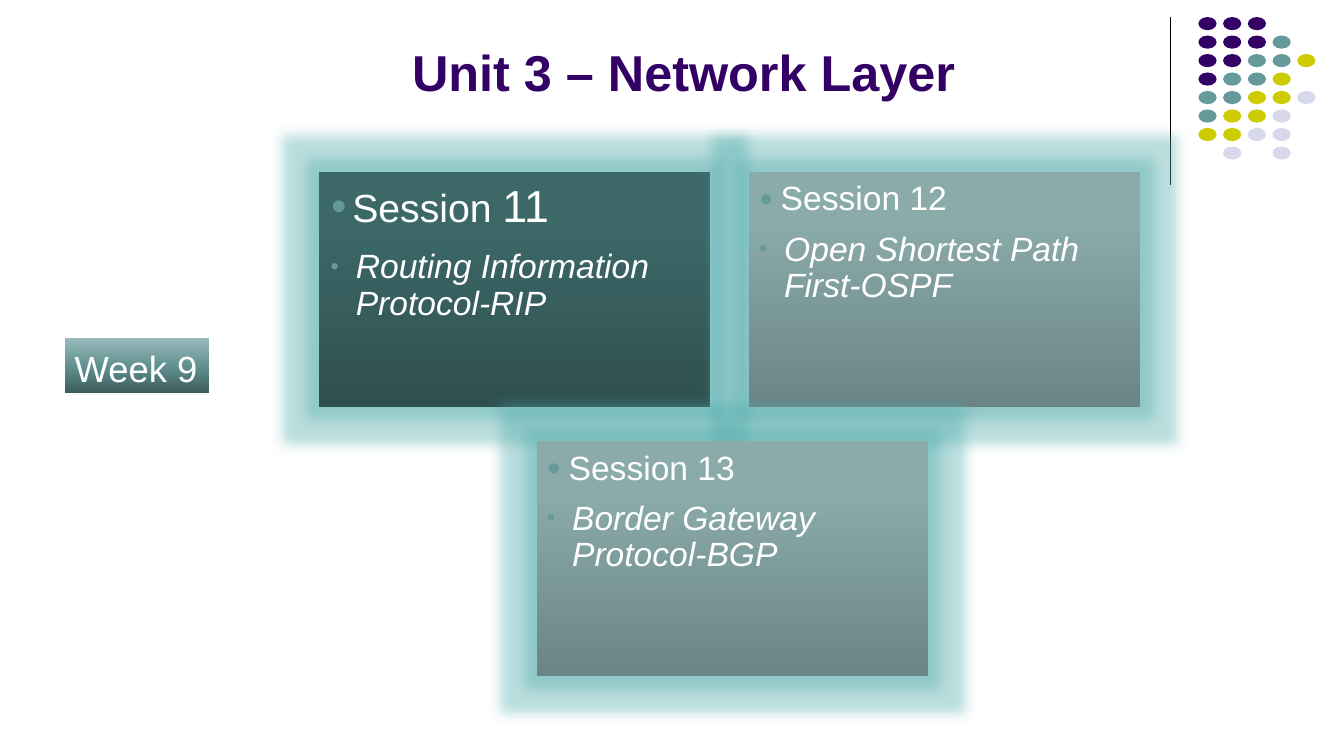
from copy import deepcopy
from dataclasses import dataclass

from lxml import etree
from pptx import Presentation
from pptx.dml.color import RGBColor
from pptx.enum.shapes import MSO_CONNECTOR, MSO_SHAPE
from pptx.enum.text import MSO_ANCHOR, PP_ALIGN
from pptx.oxml.ns import qn
from pptx.util import Pt

RECTANGLE = MSO_SHAPE.RECTANGLE
OVAL = MSO_SHAPE.OVAL
STRAIGHT = MSO_CONNECTOR.STRAIGHT
TOP = MSO_ANCHOR.TOP
BOTTOM = MSO_ANCHOR.BOTTOM
LEFT = PP_ALIGN.LEFT

FONT = "Arial"
COLORS = {
    "purple": "330066",
    "teal": "669999",
    "lime": "CCCC00",
    "lavender": "D8D8EC",
    "white": "FFFFFF",
    "black": "000000",
    "glow": "53ACAC",
}
DARK_GRADIENT = ((0, "2F5050"), (0.8, "3D6868"), (1, "3C6969"))
PALE_GRADIENT = ((0, "6B8484"), (0.8, "8BABAB"), (1, "8BADAD"))
WEEK_GRADIENT = ((0, "3E5C5C"), (0.48, "5F8F8F"), (1, "9ABCBC"))

DOT_COLORS = {"P": "purple", "T": "teal", "Y": "lime", "L": "lavender"}
DOT_ROWS = ("PPP", "PPPT", "PPTTY", "PTTY", "TTYYL", "TYYL", "YYLL", " L L")
DOT_LEFT, DOT_TOP = 856, 12.2
DOT_STEP_X, DOT_STEP_Y = 17.65, 13.2
DOT_WIDTH, DOT_HEIGHT = 13, 9.4

SESSION_WIDTH, SESSION_HEIGHT = 279.6, 168


@dataclass(frozen=True)
class Session:
    left: float
    top: float
    number: str
    topic: str
    gradient: tuple
    inset: float = 7.2
    label_size: float = 24
    number_size: float = 24
    gap: float = 10


SESSIONS = (
    Session(227.8, 122.6, "11", "Routing Information Protocol-RIP", DARK_GRADIENT,
            inset=8.4, label_size=28, number_size=32, gap=12.8),
    Session(535.1, 122.6, "12", "Open Shortest Path First-OSPF", PALE_GRADIENT),
    Session(383.6, 315.2, "13", "Border Gateway Protocol-BGP", PALE_GRADIENT),
)


def color(name: str) -> RGBColor:
    return RGBColor.from_string(COLORS[name])


def add_shape(page, kind, left: float, top: float, width: float, height: float):
    shape = page.shapes.add_shape(kind, Pt(left), Pt(top), Pt(width), Pt(height))
    shape.shadow.inherit = False
    shape.line.fill.background()
    return shape


def fill_gradient(shape, stops: tuple) -> None:
    shape.fill.gradient()
    shape.fill.gradient_angle = 90
    stop_list = shape._element.spPr.find(".//" + qn("a:gsLst"))
    stop_list.append(deepcopy(stop_list[-1]))
    for stop, (position, shade) in zip(shape.fill.gradient_stops, stops):
        stop.position = position
        stop.color.rgb = RGBColor.from_string(shade)


def add_glow(shape, radius: float) -> None:
    effects = shape._element.spPr.find(qn("a:effectLst"))
    glow = etree.SubElement(effects, qn("a:glow"), rad=str(Pt(radius)))
    tint = etree.SubElement(glow, qn("a:srgbClr"), val=COLORS["glow"])
    etree.SubElement(tint, qn("a:alpha"), val="40000")


def prepare_frame(shape, inset_x: float, inset_y: float, anchor=TOP, wrap: bool = True):
    frame = shape.text_frame
    frame.word_wrap = wrap
    frame.vertical_anchor = anchor
    frame.margin_left = frame.margin_right = Pt(inset_x)
    frame.margin_top = frame.margin_bottom = Pt(inset_y)
    frame.paragraphs[0].alignment = LEFT
    return frame


def add_span(para, text: str, *, size: float, shade: str = "white",
             bold: bool = False, italic: bool = False) -> None:
    span = para.add_run()
    span.text = text
    span.font.name = FONT
    span.font.size = Pt(size)
    span.font.bold = bold
    span.font.italic = italic
    span.font.color.rgb = color(shade)


def format_bullet(para, symbol: str, indent: float, gap: float) -> None:
    para.alignment = LEFT
    para.line_spacing = 0.9
    para.space_after = Pt(gap)
    properties = para._p.get_or_add_pPr()
    properties.set("marL", str(Pt(indent)))
    properties.set("indent", str(-Pt(indent)))
    bullet_color = etree.SubElement(properties, qn("a:buClr"))
    etree.SubElement(bullet_color, qn("a:srgbClr"), val=COLORS["teal"])
    etree.SubElement(properties, qn("a:buSzPct"), val="70000")
    etree.SubElement(properties, qn("a:buFont"), typeface=FONT)
    etree.SubElement(properties, qn("a:buChar"), char=symbol)


def draw_divider(page) -> None:
    divider = page.shapes.add_connector(STRAIGHT, Pt(836), Pt(12), Pt(836), Pt(132))
    divider.line.color.rgb = color("black")
    divider.line.width = Pt(0.75)
    etree.SubElement(divider._element.spPr, qn("a:effectLst"))


def draw_dots(page) -> None:
    for row, pattern in enumerate(DOT_ROWS):
        for column, key in enumerate(pattern):
            if key in DOT_COLORS:
                dot = add_shape(page, OVAL, DOT_LEFT + column * DOT_STEP_X,
                                DOT_TOP + row * DOT_STEP_Y, DOT_WIDTH, DOT_HEIGHT)
                dot.fill.solid()
                dot.fill.fore_color.rgb = color(DOT_COLORS[key])


def draw_title(page) -> None:
    box = page.shapes.add_textbox(Pt(287.3), Pt(11.5), Pt(451.4), Pt(64.8))
    frame = prepare_frame(box, 7.2, 3.6, anchor=BOTTOM)
    add_span(frame.paragraphs[0], "Unit 3 – Network Layer", size=36, shade="purple", bold=True)


def draw_session(page, session: Session) -> None:
    box = add_shape(page, RECTANGLE, session.left, session.top, SESSION_WIDTH, SESSION_HEIGHT)
    fill_gradient(box, session.gradient)
    add_glow(box, 18)
    frame = prepare_frame(box, session.inset, session.inset)
    heading = frame.paragraphs[0]
    format_bullet(heading, "●", 15.5, session.gap)
    add_span(heading, "Session ", size=session.label_size)
    add_span(heading, session.number, size=session.number_size)
    topic = frame.add_paragraph()
    topic.level = 1
    format_bullet(topic, "•", 18, 4)
    add_span(topic, session.topic, size=24, italic=True)


def draw_week(page) -> None:
    box = add_shape(page, RECTANGLE, 46.3, 241.7, 103, 39)
    fill_gradient(box, WEEK_GRADIENT)
    frame = prepare_frame(box, 7.2, 5.5, wrap=False)
    add_span(frame.paragraphs[0], "Week 9", size=26)


def main() -> None:
    deck = Presentation()
    deck.slide_width, deck.slide_height = Pt(960), Pt(540)
    page = deck.slides.add_slide(deck.slide_layouts[6])
    draw_divider(page)
    draw_dots(page)
    draw_title(page)
    for session in SESSIONS:
        draw_session(page, session)
    draw_week(page)
    deck.save("out.pptx")


if __name__ == "__main__":
    main()
